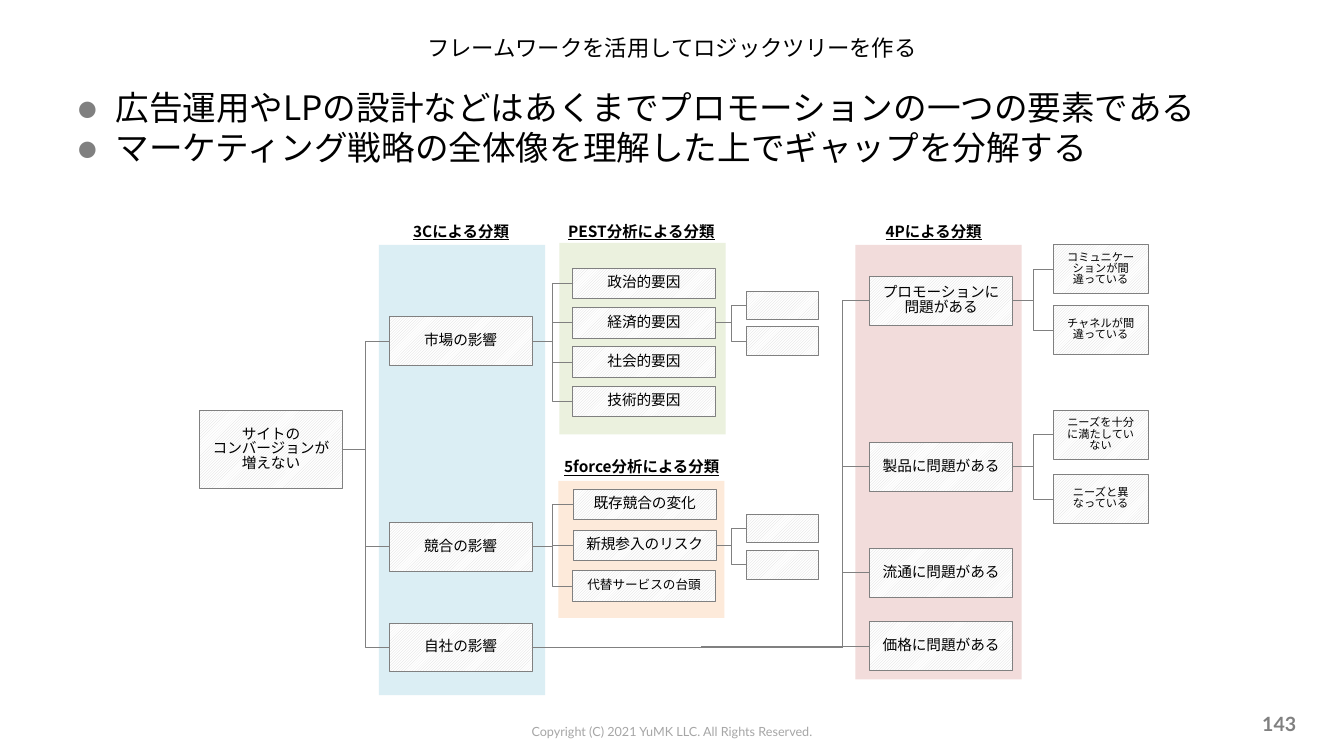
from dataclasses import dataclass
from lxml.etree import SubElement
from pptx import Presentation
from pptx.dml.color import RGBColor
from pptx.enum.dml import MSO_PATTERN as Pattern
from pptx.enum.lang import MSO_LANGUAGE_ID as Lang
from pptx.enum.shapes import MSO_CONNECTOR as Link, MSO_SHAPE as Shape
from pptx.enum.text import MSO_ANCHOR as Anchor, MSO_AUTO_SIZE as Fit, PP_ALIGN as Align
from pptx.oxml.ns import qn
from pptx.util import Cm, Pt


@dataclass(frozen=True)
class Theme:
    main: str = "Noto Sans CJK JP"
    latin: str = "Lato"
    ink: RGBColor = RGBColor(0x00, 0x00, 0x00)
    white: RGBColor = RGBColor(0xFF, 0xFF, 0xFF)
    grey: RGBColor = RGBColor(0x80, 0x80, 0x80)
    pale: RGBColor = RGBColor(0xA6, 0xA6, 0xA6)
    hatch: RGBColor = RGBColor(0xD9, 0xD9, 0xD9)
    blue: RGBColor = RGBColor(0xDB, 0xEE, 0xF4)
    green: RGBColor = RGBColor(0xEB, 0xF1, 0xDE)
    peach: RGBColor = RGBColor(0xFD, 0xEA, 0xDA)
    rose: RGBColor = RGBColor(0xF2, 0xDC, 0xDB)
    title: float = 16
    body: float = 24
    head: float = 11
    node: float = 10.5
    small: float = 9
    leaf: float = 8
    page: float = 14


theme = Theme()


def write(shape, text, size, font=theme.main, color=theme.ink, align=Align.CENTER,
          anchor=Anchor.MIDDLE, bold=False, under=False, wrap=True, lead=0.83, bullet=None):
    frame = shape.text_frame
    frame.auto_size = Fit.NONE
    frame.word_wrap = wrap
    frame.vertical_anchor = anchor
    for i, line in enumerate(text.split("\n")):
        para = frame.add_paragraph() if i else frame.paragraphs[0]
        para.alignment = align
        para.line_spacing = lead
        if bullet:
            para.space_before = Pt(size * 0.2 if i else 0)
            props = para._p.get_or_add_pPr()
            props.set("marL", str(Cm(0.96)))
            props.set("indent", str(Cm(-0.96)))
            tint = SubElement(props, qn("a:buClr"))
            SubElement(tint, qn("a:srgbClr"), val=str(theme.grey))
            SubElement(props, qn("a:buFont"), typeface=theme.latin)
            SubElement(props, qn("a:buChar"), char=bullet)
        run = para.add_run()
        run.text = line
        run.font.name = font
        run.font.size = Pt(size)
        run.font.bold = bold
        run.font.underline = under
        run.font.color.rgb = color
        run.font.language_id = Lang.JAPANESE
        SubElement(run._r.get_or_add_rPr(), qn("a:ea"), typeface=font)


deck = Presentation()
deck.slide_width, deck.slide_height = Cm(33.87), Cm(19.05)
slide = deck.slides.add_slide(deck.slide_layouts[5])
shapes = slide.shapes

title = shapes.title
title.left, title.top, title.width, title.height = Cm(1.7), Cm(0.56), Cm(30.48), Cm(1.37)
write(title, "フレームワークを活用してロジックツリーを作る", theme.title)

body = shapes.add_textbox(Cm(1.7), Cm(2.24), Cm(30.48), Cm(14.7))
write(body, "広告運用やLPの設計などはあくまでプロモーションの一つの要素である\n"
      "マーケティング戦略の全体像を理解した上でギャップを分解する",
      theme.body, align=Align.LEFT, anchor=Anchor.TOP, bullet="●")

foot = shapes.add_textbox(Cm(10.67), Cm(18.11), Cm(12.52), Cm(0.64))
write(foot, "Copyright (C) 2021 YuMK LLC. All Rights Reserved.", theme.small,
      font=theme.latin, color=theme.pale, anchor=Anchor.TOP, lead=1)

page = shapes.add_textbox(Cm(25.02), Cm(17.73), Cm(7.9), Cm(1.02))
write(page, "143", theme.page, font=theme.latin, color=theme.grey,
      align=Align.RIGHT, bold=True, lead=1)

bands = [
    (14.07, 12.12, 3.45, theme.peach),
    (14.1, 6.12, 4.83, theme.green),
    (9.55, 6.17, 11.35, theme.blue),
    (21.56, 6.17, 10.95, theme.rose),
]
for x, y, h, color in bands:
    band = shapes.add_shape(Shape.RECTANGLE, Cm(x), Cm(y), Cm(4.19), Cm(h))
    band.shadow.inherit = False
    band.fill.solid()
    band.fill.fore_color.rgb = color
    band.line.fill.background()

heads = [
    ("3Cによる分類", 10.11, 5.54, 3.02, True),
    ("4Pによる分類", 22.02, 5.54, 3.02, True),
    ("PEST分析による分類", 14.02, 5.54, 4.29, False),
    ("5force分析による分類", 13.89, 11.48, 4.57, False),
]
for text, x, y, w, wrap in heads:
    head = shapes.add_textbox(Cm(x), Cm(y), Cm(w), Cm(0.74))
    write(head, text, theme.head, anchor=Anchor.TOP, bold=True, under=True, wrap=wrap)

wide, slim, leaf, blank = (3.6, 1.23), (3.6, 0.77), (2.4, 1.23), (1.8, 0.72)
tree = [
    (None, 5.03, (3.6, 1.98), theme.node, 0.5,
     [(10.34, "サイトの\nコンバージョンが増えない")]),
    ("サイトの\nコンバージョンが増えない", 9.81, wide, theme.node, 0.5,
     [(7.98, "市場の影響"), (13.16, "競合の影響"), (15.7, "自社の影響")]),
    ("市場の影響", 14.43, slim, theme.node, 0.5,
     [(6.76 + 0.99 * i, f"{name}的要因")
      for i, name in enumerate(["政治", "経済", "社会", "技術"])]),
    ("競合の影響", 14.45, slim, theme.node, 0.5,
     [(12.32, "既存競合の変化"), (13.36, "新規参入のリスク")]),
    ("競合の影響", 14.43, slim, theme.small, 0.5, [(14.38, "代替サービスの台頭")]),
    ("自社の影響", 21.92, wide, theme.node, 0.92,
     [(6.96, "プロモーションに問題がある"), (11.15, "製品に問題がある"),
      (13.82, "流通に問題がある")]),
    ("自社の影響", 21.92, wide, theme.node, 0.5, [(15.67, "価格に問題がある")]),
    ("プロモーションに問題がある", 26.54, leaf, theme.leaf, 0.5,
     [(6.17, "コミュニケーションが間違っている"), (7.7, "チャネルが間違っている")]),
    ("製品に問題がある", 26.54, leaf, theme.leaf, 0.5,
     [(10.34, "ニーズを十分に満たしていない"), (11.96, "ニーズと異なっている")]),
    ("経済的要因", 18.82, blank, theme.leaf, 0.5, [(7.34, ""), (8.23, "")]),
    ("新規参入のリスク", 18.82, blank, theme.leaf, 0.5, [(12.95, ""), (13.87, "")]),
]
nodes = {}
for root, x, (w, h), size, bend, items in tree:
    for y, text in items:
        node = shapes.add_shape(Shape.RECTANGLE, Cm(x), Cm(y), Cm(w), Cm(h))
        node.shadow.inherit = False
        node.fill.patterned()
        node.fill.pattern = Pattern.LIGHT_UPWARD_DIAGONAL
        node.fill.fore_color.rgb = theme.hatch
        node.fill.back_color.rgb = theme.white
        node.line.color.rgb = theme.grey
        node.line.width = Pt(0.5)
        if text:
            write(node, text, size)
            nodes[text] = node
        if root:
            link = shapes.add_connector(Link.ELBOW, 0, 0, 0, 0)
            link.begin_connect(nodes[root], 3)
            link.end_connect(node, 1)
            link.line.color.rgb = theme.grey
            link.line.width = Pt(0.5)
            props = link._element.spPr
            SubElement(props, qn("a:effectLst"))
            guides = props.find(qn("a:prstGeom")).find(qn("a:avLst"))
            SubElement(guides, qn("a:gd"), name="adj1", fmla=f"val {round(bend * 100000)}")

deck.save("out.pptx")
